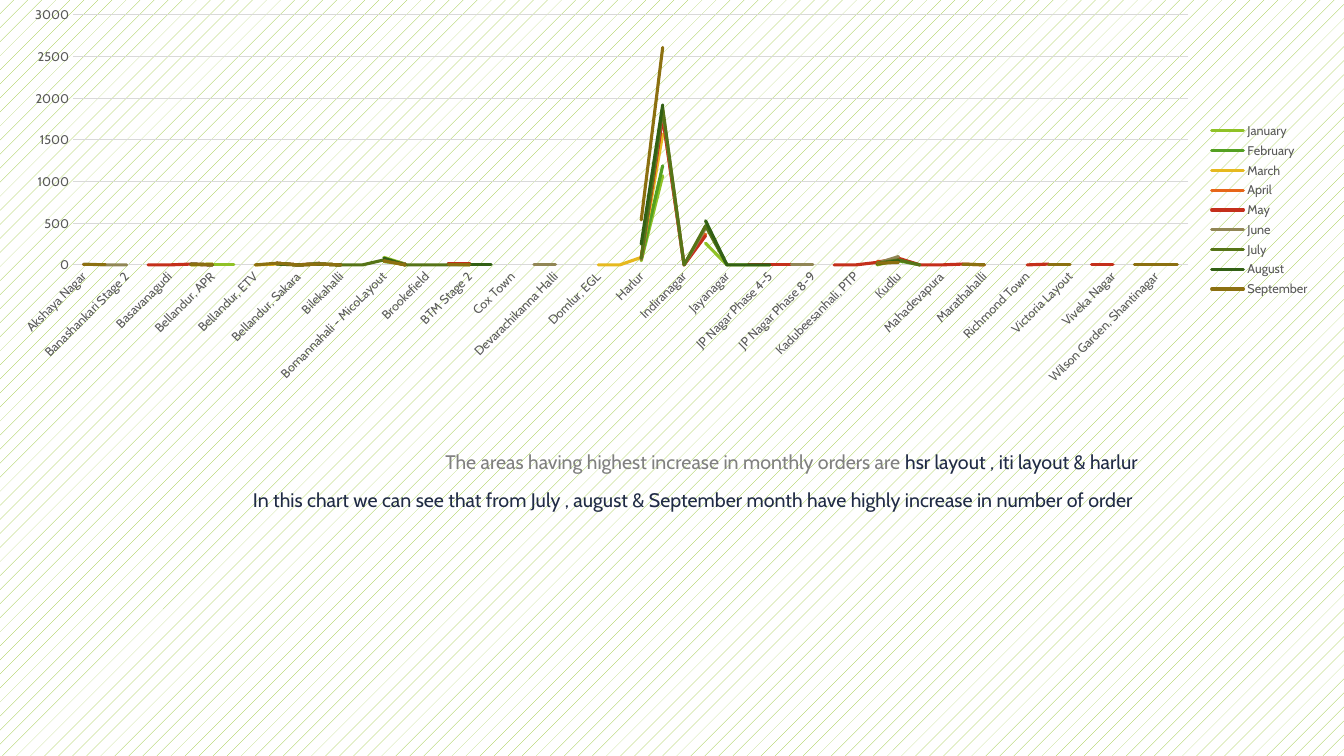
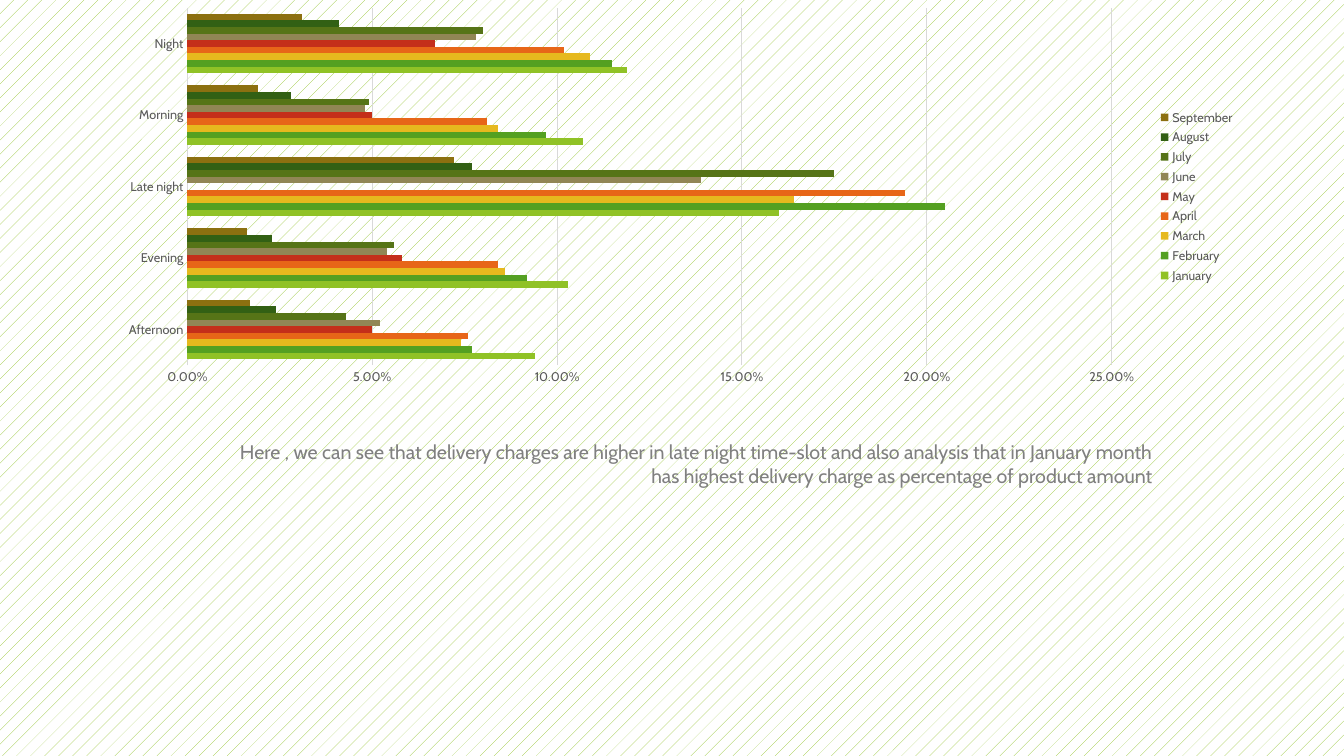
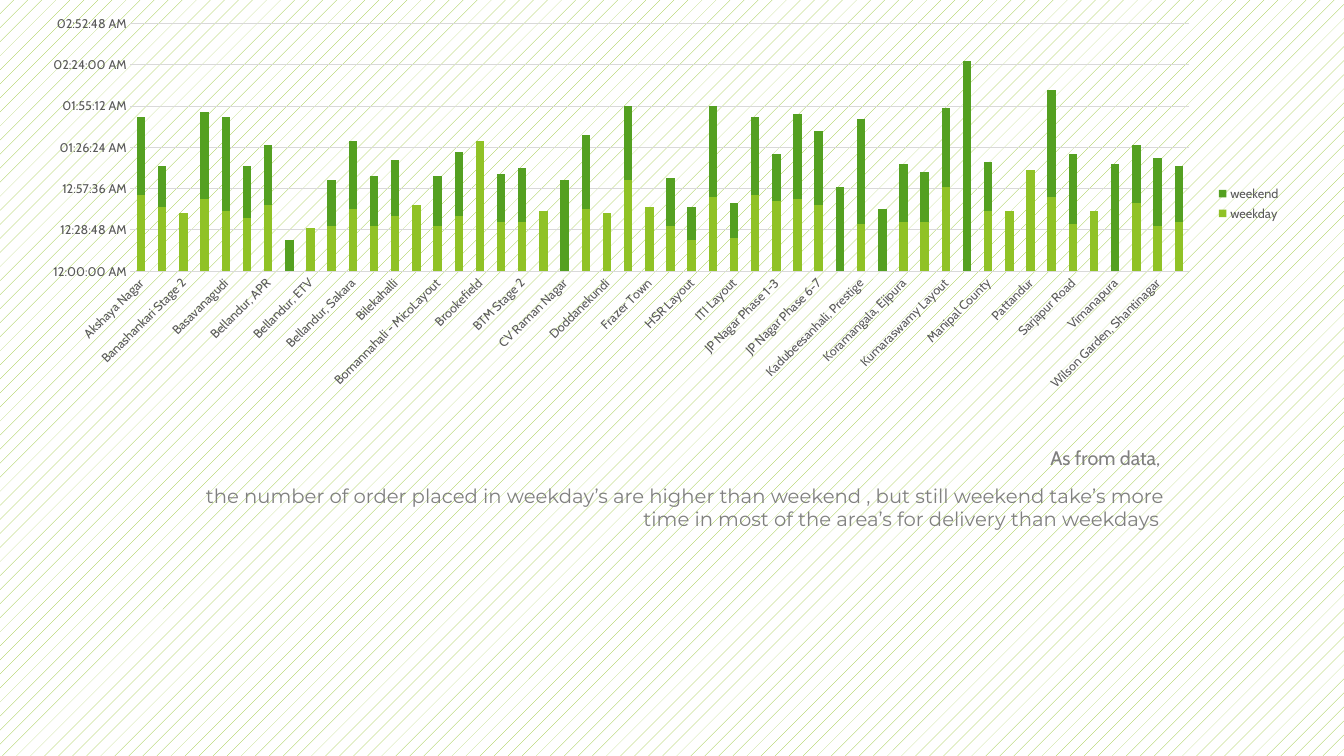
from dataclasses import dataclass

from pptx import Presentation
from pptx.chart.data import CategoryChartData
from pptx.dml.color import RGBColor
from pptx.enum.chart import XL_CHART_TYPE, XL_LEGEND_POSITION, XL_TICK_LABEL_POSITION, XL_TICK_MARK
from pptx.enum.dml import MSO_PATTERN
from pptx.enum.text import MSO_ANCHOR, MSO_AUTO_SIZE, PP_ALIGN
from pptx.oxml import parse_xml
from pptx.oxml.ns import nsdecls
from pptx.util import Pt

LINE = XL_CHART_TYPE.LINE
BARS = XL_CHART_TYPE.BAR_CLUSTERED
STACK = XL_CHART_TYPE.COLUMN_STACKED
NO_TICK = XL_TICK_MARK.NONE
BESIDE = XL_TICK_LABEL_POSITION.NEXT_TO_AXIS
LEGEND_RIGHT = XL_LEGEND_POSITION.RIGHT
DOTS = MSO_PATTERN.PERCENT_5
RIGHT = PP_ALIGN.RIGHT
TOP = MSO_ANCHOR.TOP
NO_FIT = MSO_AUTO_SIZE.NONE

EMU_PER_PX = 914400 / 100.8
SLANTED = "-2700000"


@dataclass(frozen=True)
class Theme:
    font: str = "Cabin"
    alternate: str = "Montserrat"
    green: str = "90C226"
    white: str = "FFFFFF"
    grey: str = "808080"
    navy: str = "202B45"
    label: str = "595959"
    grid: str = "D9D9D9"
    black: str = "000000"
    series: tuple = ("90C226", "54A021", "E6B91E", "E76618", "C42F1A",
                     "918655", "567417", "326014", "8C7010")
    note_size: int = 14
    chart_size: int = 10
    label_size: int = 9
    paragraph_gap: int = 10
    grid_width: float = 0.75
    series_width: float = 2.25


def px(length):
    return round(length * EMU_PER_PX)


def rgb(code):
    return RGBColor.from_string(code)


def assign(target, **values):
    for name, value in values.items():
        setattr(target, name, value)


def numbers(text, scale=1):
    return [None if word == "-" else int(word) / scale for word in text.split()]


class Deck:
    """Holds the presentation, its theme and the current page."""

    def __init__(self, theme):
        self.theme = theme
        self.file = Presentation()
        assign(self.file, slide_width=px(1344), slide_height=px(756))
        fill = self.file.slide_master.background.fill
        fill.patterned()
        fill.pattern = DOTS
        fill.fore_color.rgb = rgb(theme.green)
        fill.back_color.rgb = rgb(theme.white)
        self.page = None

    def add_page(self):
        self.page = self.file.slides.add_slide(self.file.slide_layouts[0])
        title = self.page.shapes.title.element
        title.getparent().remove(title)

    def style_font(self, font, size, color, name=None):
        assign(font, name=name or self.theme.font, size=Pt(size))
        font.color.rgb = rgb(color)

    def style_line(self, line, color, width):
        line.color.rgb = rgb(color)
        line.width = Pt(width)

    def add_note(self, place, paragraphs):
        left, top, width, height = map(px, place)
        box = self.page.placeholders[1]
        assign(box, left=left, top=top, width=width, height=height)
        frame = box.text_frame
        assign(frame, word_wrap=True, auto_size=NO_FIT, vertical_anchor=TOP)
        for index, spans in enumerate(paragraphs):
            para = frame.add_paragraph() if index else frame.paragraphs[0]
            gap = self.theme.paragraph_gap if index else 0
            assign(para, alignment=RIGHT, space_before=Pt(gap))
            for text, color, name in spans:
                span = para.add_run()
                span.text = text
                self.style_font(span.font, self.theme.note_size, color, name)

    def add_chart(self, kind, place, categories, series, top_value, step, number_format="General"):
        theme = self.theme
        data = CategoryChartData()
        data.categories = categories
        for name, values in series.items():
            data.add_series(name, values)
        chart = self.page.shapes.add_chart(kind, *map(px, place), data).chart
        assign(chart, has_title=False, has_legend=True)
        self.style_font(chart.font, theme.chart_size, theme.black)
        assign(chart.legend, position=LEGEND_RIGHT, include_in_layout=False)
        self.style_font(chart.legend.font, theme.label_size, theme.label)
        self.style_axes(chart, top_value, step, number_format)
        chart.plots[0].vary_by_categories = False
        for item, color in zip(chart.plots[0].series, theme.series):
            if kind == LINE:
                item.smooth = False
                self.style_line(item.format.line, color, theme.series_width)
                item.format.line._get_or_add_ln().set("cap", "rnd")
            else:
                item.format.fill.solid()
                item.format.fill.fore_color.rgb = rgb(color)
        return chart

    def style_axes(self, chart, top_value, step, number_format):
        theme = self.theme
        for axis in (chart.category_axis, chart.value_axis):
            assign(axis, major_tick_mark=NO_TICK, minor_tick_mark=NO_TICK,
                   tick_label_position=BESIDE)
            self.style_font(axis.tick_labels.font, theme.label_size, theme.label)
        chart.category_axis.has_major_gridlines = False
        self.style_line(chart.category_axis.format.line, theme.grid, theme.grid_width)
        axis = chart.value_axis
        assign(axis, minimum_scale=0, maximum_scale=top_value, major_unit=step,
               has_major_gridlines=True)
        assign(axis.tick_labels, number_format=number_format, number_format_is_linked=False)
        axis.format.line.fill.background()
        self.style_line(axis.major_gridlines.format.line, theme.grid, theme.grid_width)

    def slant_labels(self, chart):
        chart.category_axis._element.txPr.bodyPr.set("rot", SLANTED)

    def place_plot(self, chart, place, plot):
        width, height = place[2:]
        left, top, plot_width, plot_height = plot
        fractions = {"x": left / width, "y": top / height,
                     "w": plot_width / width, "h": plot_height / height}
        modes = "".join(f'<c:{side}Mode val="edge"/>' for side in "xy")
        sizes = "".join(f'<c:{side} val="{value}"/>' for side, value in fractions.items())
        layout = parse_xml(f'<c:layout {nsdecls("c")}><c:manualLayout>'
                           f'<c:layoutTarget val="inner"/>{modes}{sizes}'
                           '</c:manualLayout></c:layout>')
        area = chart._chartSpace.chart.plotArea
        for old in area.findall(layout.tag):
            area.remove(old)
        area.insert(0, layout)


AREAS = [
    "Akshaya Nagar", "Arekere", "Banashankari Stage 2", "Bannerghatta", "Basavanagudi",
    "Bellandur - Off Sarjapur Road", "Bellandur, APR", "Bellandur, Ecospace",
    "Bellandur, ETV", "Bellandur, Green Glen", "Bellandur, Sakara",
    "Bellandur, Sarjapur Road", "Bilekahalli", "Binnipet", "Bomannahali - MicoLayout",
    "Bommanahalli", "Brookefield", "BTM Stage 1", "BTM Stage 2", "Challagatta",
    "Cox Town", "CV Raman Nagar", "Devarachikanna Halli", "Doddanekundi", "Domlur, EGL",
    "Frazer Town", "Harlur", "HSR Layout", "Indiranagar", "ITI Layout", "Jayanagar",
    "JP Nagar Phase 1-3", "JP Nagar Phase 4-5", "JP Nagar Phase 6-7",
    "JP Nagar Phase 8-9", "Kadubeesanhali, Prestige", "Kadubeesanhali, PTP",
    "Koramangala, Ejipura", "Kudlu", "Kumaraswamy Layout", "Mahadevapura",
    "Manipal County", "Marathahalli", "Pattandur", "Richmond Town", "Sarjapur Road",
    "Victoria Layout", "Vimanapura", "Viveka Nagar", "Whitefield",
    "Wilson Garden, Shantinagar", "Yemalur",
]
TIMED_AREAS = [area for area in AREAS if area not in ("Cox Town", "Whitefield")]
SLOTS = ["Afternoon", "Evening", "Late night", "Morning", "Night"]

ORDERS = {
    "January": "- 0 - 0 - 0 0 0 - 10 - 10 0 - 90 10 - 0 0 - - - 0 - 0 - "
               "50 1070 - 260 0 0 0 - - - - 0 60 - - 10 0 - - 0 - - - - - -",
    "February": "- - - - - 0 10 - - 10 - 0 - - 40 10 - 0 0 - - - 0 - - - "
                "70 1190 - 250 - - 0 0 - 0 - 20 50 0 - 0 - - - - - - - - - 0",
    "March": "0 - - 0 - 0 10 - 0 10 0 10 0 - 50 0 - 10 0 - - - 0 - 0 0 "
             "90 1570 - 350 - 0 - 0 - 0 - 10 50 - - 0 - - - - - - - - 0 -",
    "April": "0 0 - - - 10 0 - - 20 0 20 - - 60 0 - 0 0 - - - 0 - 0 - "
             "90 1790 0 370 - 0 0 - - - - 40 50 - - 10 - - - 0 - - 0 - - 0",
    "May": "0 0 - 0 0 10 0 - - 20 0 10 0 - 50 10 - 10 10 - - - - - 0 - "
           "70 1770 0 350 - 0 0 0 - 0 0 30 80 0 0 10 0 - 0 10 - 0 0 - 0 -",
    "June": "10 0 0 - - 10 0 - - 20 0 20 - - 60 10 - 0 0 - - 0 0 - - - "
            "70 1860 0 440 - - - 0 0 - - 20 100 - - 20 - - - 0 - - 0 - - 0",
    "July": "- - 0 - - 0 0 - - 20 0 10 0 0 60 0 0 0 0 - 0 - - 0 - - "
            "80 1880 0 470 0 - - - - 0 - 20 60 0 - 10 - - - 0 - - 0 - - 0",
    "August": "0 - - 0 - 10 0 - - 10 0 10 0 - 80 0 - 0 0 0 - - - 0 - - "
              "250 1920 - 530 0 0 0 - - - - 10 50 - - 10 - 0 - - - - - - - 0",
    "September": "0 0 - - - 0 0 - 0 20 0 10 0 - 50 0 - 0 0 - - - 0 - 0 - "
                 "540 2610 - 920 - - - - - 0 - 20 30 - - 0 0 - - 0 0 - - 0 0 0",
}
CHARGES = {
    "January": "94 103 160 107 119",
    "February": "77 92 205 97 115",
    "March": "74 86 164 84 109",
    "April": "76 84 194 81 102",
    "May": "50 58 - 50 67",
    "June": "52 54 139 48 78",
    "July": "43 56 175 49 80",
    "August": "24 23 77 28 41",
    "September": "17 16 72 19 31",
}
TIMES = {
    "weekday": "37 31 28 35 29 26 32 - 21 22 30 22 27 32 22 27 63 24 24 29 - 30 28 44 31 "
               "22 15 36 16 37 34 35 32 - 23 - 24 24 41 - 29 29 49 36 23 29 - 33 22 24",
    "weekend": "38 20 - 42 46 25 29 15 - 22 33 24 27 - 24 31 - 23 26 - 44 36 - 36 - "
               "23 16 44 17 38 23 41 36 41 51 30 28 24 38 102 24 - - 52 34 - 52 28 33 27",
}


def table(rows, scale=1):
    return {name: numbers(text, scale) for name, text in rows.items()}


def main():
    theme = Theme()
    deck = Deck(theme)

    deck.add_page()
    deck.add_note((195, 445, 953, 108), [
        [("The areas having highest increase in monthly orders are ", theme.grey, theme.font),
         ("hsr layout , iti layout & harlur", theme.navy, theme.font)],
        [("In this chart we can see that from July , august & September month have highly "
          "increase in number of order ", theme.navy, theme.font)],
    ])
    orders_place = (23, 5, 1297, 410)
    orders = deck.add_chart(LINE, orders_place, AREAS, table(ORDERS), 3000, 500)
    deck.slant_labels(orders)
    deck.place_plot(orders, orders_place, (49, 10, 1116, 250))

    deck.add_page()
    deck.add_note((210, 435, 953, 108), [
        [("Here , we can see that delivery charges are higher in late night time-slot and also "
          "analysis that in January month has highest delivery charge as percentage of "
          "product amount", theme.grey, theme.font)],
    ])
    charges = deck.add_chart(BARS, (106, 0, 1139, 393), SLOTS, table(CHARGES, 1000),
                             0.25, 0.05, "0.00%")
    assign(charges.plots[0], gap_width=182, overlap=0)

    deck.add_page()
    deck.add_note((194, 441, 981, 137), [
        [("As from data, ", theme.grey, theme.font)],
        [("the number of order placed in weekday’s are higher than weekend , but still weekend "
          "take’s more time in most of the area’s for delivery than weekdays ",
          theme.grey, theme.alternate)],
    ])
    times = deck.add_chart(STACK, (28, 8, 1263, 391), TIMED_AREAS, table(TIMES, 1000),
                           0.12, 0.02, r"[$-F400]h:mm:ss\ AM/PM")
    assign(times.plots[0], gap_width=150, overlap=100)
    deck.slant_labels(times)

    deck.file.save("out.pptx")


if __name__ == "__main__":
    main()
